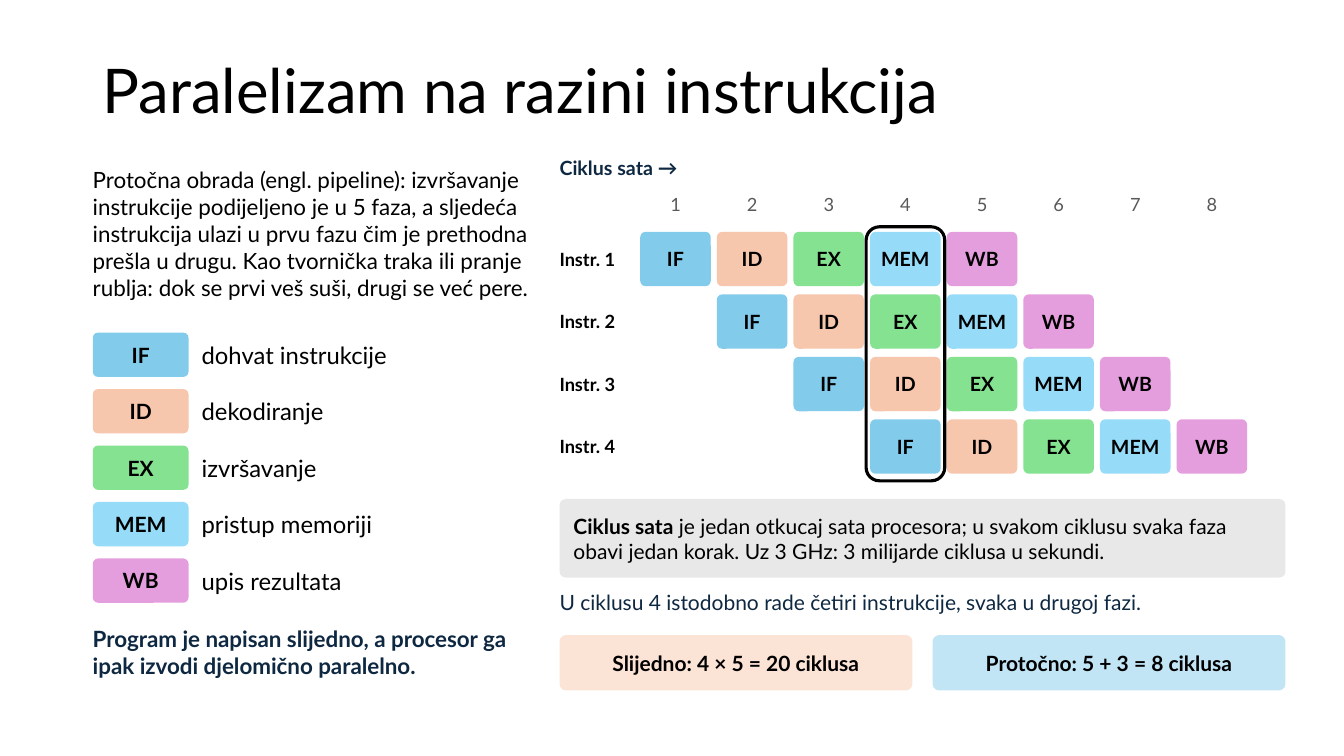
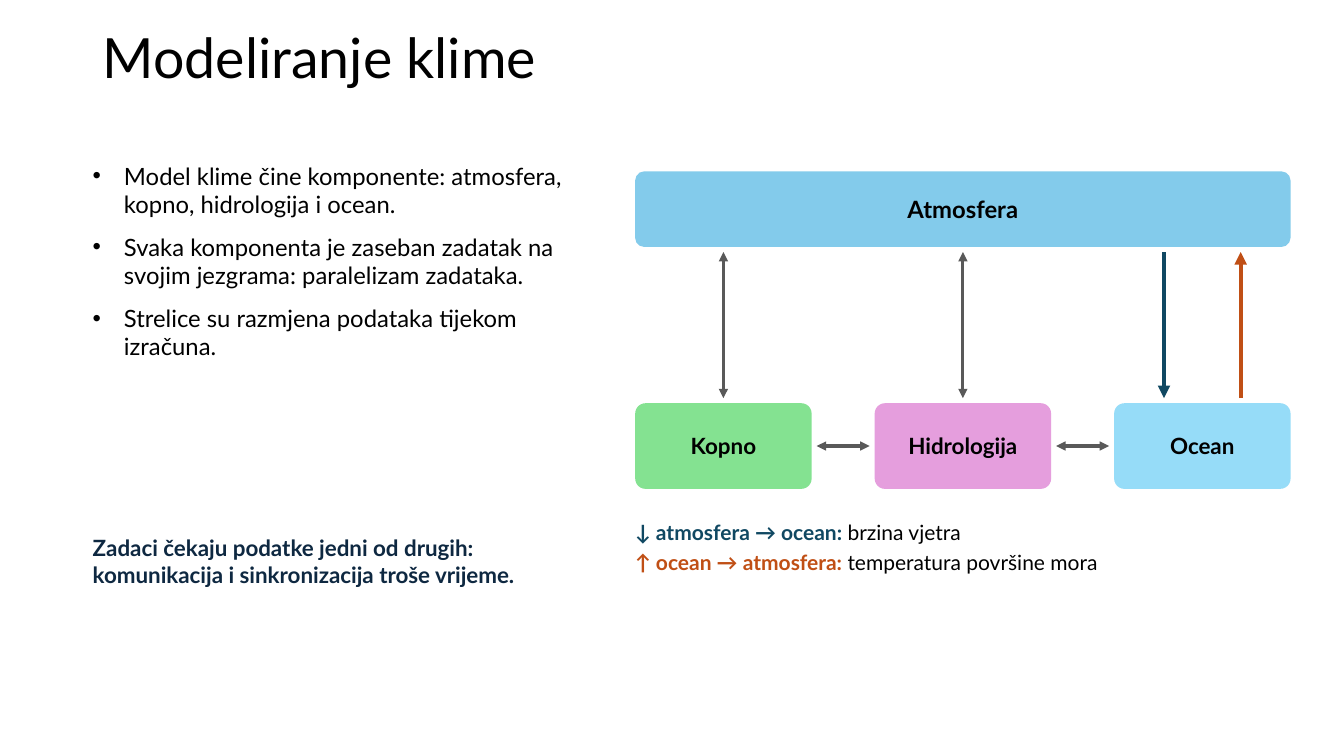
from pptx import Presentation
from pptx.dml.color import RGBColor
from pptx.enum.shapes import MSO_CONNECTOR, MSO_SHAPE
from pptx.enum.text import MSO_ANCHOR, PP_ALIGN
from pptx.oxml.ns import qn
from pptx.util import Inches, Pt
from lxml import etree

ROUND, STRAIGHT = MSO_SHAPE.ROUNDED_RECTANGLE, MSO_CONNECTOR.STRAIGHT
TOP, MIDDLE = MSO_ANCHOR.TOP, MSO_ANCHOR.MIDDLE
LEFT, CENTER = PP_ALIGN.LEFT, PP_ALIGN.CENTER

# Shared style
FONT = "Lato"
BLACK = RGBColor(0x00, 0x00, 0x00)
NAVY = RGBColor(0x0E, 0x28, 0x41)
GRAY = RGBColor(0x59, 0x59, 0x59)
LIGHT_GRAY = RGBColor(0xE8, 0xE8, 0xE8)
BLUE = RGBColor(0x83, 0xCB, 0xEB)
PEACH = RGBColor(0xF6, 0xC6, 0xAD)
GREEN = RGBColor(0x84, 0xE2, 0x91)
SKY = RGBColor(0x96, 0xDC, 0xF8)
PINK = RGBColor(0xE5, 0x9E, 0xDD)
PALE_PEACH = RGBColor(0xFB, 0xE3, 0xD6)
PALE_BLUE = RGBColor(0xC1, 0xE5, 0xF5)
TEAL = RGBColor(0x10, 0x48, 0x62)
RUST = RGBColor(0xC0, 0x4F, 0x15)
MARGIN = 0.92
NO_INSETS = (0, 0, 0, 0)
TIGHT = (0.05, 0.02, 0.05, 0.02)

# Slide 1 content
PIPELINE_TITLE = "Paralelizam na razini instrukcija"
PIPELINE_INTRO = (
    "Protočna obrada (engl. pipeline): izvršavanje instrukcije podijeljeno je u 5 faza, "
    "a sljedeća instrukcija ulazi u prvu fazu čim je prethodna prešla u drugu. "
    "Kao tvornička traka ili pranje rublja: dok se prvi veš suši, drugi se već pere.")
STAGES = [
    ("IF", "dohvat instrukcije", BLUE),
    ("ID", "dekodiranje", PEACH),
    ("EX", "izvršavanje", GREEN),
    ("MEM", "pristup memoriji", SKY),
    ("WB", "upis rezultata", PINK),
]
INSTRUCTIONS = 4
CYCLES = INSTRUCTIONS + len(STAGES) - 1
HIGHLIGHTED_CYCLE = 4
CYCLE_NOTE = [
    ("Ciklus sata", BLACK, True),
    (" je jedan otkucaj sata procesora; u svakom ciklusu svaka faza obavi jedan korak. "
     "Uz 3 GHz: 3 milijarde ciklusa u sekundi.", BLACK, False),
]
OVERLAP_NOTE = "U ciklusu 4 istodobno rade četiri instrukcije, svaka u drugoj fazi."
TOTALS = [
    ("Slijedno: 4 × 5 = 20 ciklusa", PALE_PEACH),
    ("Protočno: 5 + 3 = 8 ciklusa", PALE_BLUE),
]
PIPELINE_SUMMARY = ("Program je napisan slijedno, a procesor ga ipak izvodi "
                    "djelomično paralelno.")

# Slide 2 content
CLIMATE_TITLE = "Modeliranje klime"
CLIMATE_POINTS = [
    "Model klime čine komponente: atmosfera, kopno, hidrologija i ocean.",
    "Svaka komponenta je zaseban zadatak na svojim jezgrama: paralelizam zadataka.",
    "Strelice su razmjena podataka tijekom izračuna.",
]
CLIMATE_SUMMARY = ("Zadaci čekaju podatke jedni od drugih: komunikacija i "
                   "sinkronizacija troše vrijeme.")
COMPONENTS = [("Kopno", GREEN), ("Hidrologija", PINK), ("Ocean", SKY)]
EXCHANGES = [
    [("↓ atmosfera → ocean: ", TEAL, True), ("brzina vjetra", BLACK, False)],
    [("↑ ocean → atmosfera: ", RUST, True), ("temperatura površine mora", BLACK, False)],
]


def write(tf, paragraphs, size, color=BLACK, bold=False, align=LEFT, anchor=TOP,
          insets=NO_INSETS, after=None, bullet=False):
    """Each paragraph is a string or a list of (text, colour, bold) runs."""
    tf.word_wrap = True
    tf.vertical_anchor = anchor
    tf.margin_left, tf.margin_top, tf.margin_right, tf.margin_bottom = map(Inches, insets)
    for i, runs in enumerate(paragraphs):
        p = tf.add_paragraph() if i else tf.paragraphs[0]
        p.alignment = align
        if after is not None:
            p.space_after = Pt(after)
        if bullet:
            add_bullet(p)
        if isinstance(runs, str):
            runs = [(runs, color, bold)]
        for text, run_color, run_bold in runs:
            r = p.add_run()
            r.text = text
            r.font.name, r.font.size, r.font.bold = FONT, Pt(size), run_bold
            r.font.color.rgb = run_color


def add_bullet(p):
    pPr = p._p.get_or_add_pPr()
    pPr.set("marL", str(Inches(0.31)))
    pPr.set("indent", str(-Inches(0.31)))
    etree.SubElement(pPr, qn("a:buFont")).set("typeface", "Arial")
    etree.SubElement(pPr, qn("a:buChar")).set("char", "•")


def add_text(s, x, y, w, h, paragraphs, size, **style):
    if isinstance(paragraphs, str):
        paragraphs = [paragraphs]
    tf = s.shapes.add_textbox(Inches(x), Inches(y), Inches(w), Inches(h)).text_frame
    write(tf, paragraphs, size, **style)
    return tf


def add_rounded(s, x, y, w, h, radius):
    sp = s.shapes.add_shape(ROUND, Inches(x), Inches(y), Inches(w), Inches(h))
    sp.shadow.inherit = False
    sp.adjustments[0] = radius
    return sp


def add_box(s, x, y, w, h, text, fill, size, radius=0.12):
    sp = add_panel(s, x, y, w, h, fill, radius)
    write(sp.text_frame, [text], size, bold=True, align=CENTER, anchor=MIDDLE, insets=TIGHT)


def add_panel(s, x, y, w, h, fill, radius):
    sp = add_rounded(s, x, y, w, h, radius)
    sp.fill.solid()
    sp.fill.fore_color.rgb = fill
    sp.line.fill.background()
    return sp


def add_arrow(s, x1, y1, x2, y2, color=GRAY, width=2.25, both=True):
    line = s.shapes.add_connector(STRAIGHT, Inches(x1), Inches(y1), Inches(x2), Inches(y2))
    line.line.color.rgb = color
    line.line.width = Pt(width)
    ln = line.line._get_or_add_ln()
    for end in ("a:headEnd", "a:tailEnd") if both else ("a:tailEnd",):
        etree.SubElement(ln, qn(end)).set("type", "triangle")
    etree.SubElement(line._element.spPr, qn("a:effectLst"))


def new_slide(prs, title, size, y):
    s = prs.slides.add_slide(prs.slide_layouts[6])
    tf = add_text(s, MARGIN, y, 11.5, 1.06, title, size, anchor=MIDDLE,
                  insets=(0.1, 0.05, 0.1, 0.05))
    tf.paragraphs[0].line_spacing = 0.9
    return s


def build_pipeline(prs):
    s = new_slide(prs, PIPELINE_TITLE, 44, 0.4)
    add_text(s, MARGIN, 1.65, 4.5, 1.5, PIPELINE_INTRO, 16)

    # Legend of stages
    for i, (code, meaning, fill) in enumerate(STAGES):
        y = 3.3 + 0.56 * i
        add_box(s, MARGIN, y, 0.95, 0.44, code, fill, 15)
        add_text(s, 2, y, 3.3, 0.44, meaning, 17, anchor=MIDDLE)
    add_text(s, MARGIN, 6.2, 4.5, 0.8, PIPELINE_SUMMARY, 16, color=NAVY, bold=True)

    # Pipeline grid: each instruction starts one cycle later
    x0, grid_x, grid_y = 5.55, 6.35, 2.3
    cell_w, cell_h, step_x, step_y = 0.7, 0.54, 0.76, 0.62
    add_text(s, x0, 1.55, 7.3, 0.35, "Ciklus sata →", 14, color=NAVY, bold=True)
    for cycle in range(CYCLES):
        add_text(s, grid_x + step_x * cycle, 1.92, cell_w, 0.3, str(cycle + 1), 13,
                 color=GRAY, align=CENTER)
    for row in range(INSTRUCTIONS):
        y = grid_y + step_y * row
        add_text(s, x0, y, cell_w, cell_h, f"Instr. {row + 1}", 13, bold=True, anchor=MIDDLE)
        for col, (code, _, fill) in enumerate(STAGES, row):
            add_box(s, grid_x + step_x * col, y, cell_w, cell_h, code, fill, 14, radius=0.1)

    # Frame around the highlighted cycle
    frame = add_rounded(s, grid_x + step_x * (HIGHLIGHTED_CYCLE - 1) - 0.04, grid_y - 0.05,
                        0.78, 2.52, 0.17)
    frame.fill.background()
    frame.line.color.rgb = BLACK
    frame.line.width = Pt(2.25)

    # Notes and totals
    note = add_panel(s, x0, 4.95, 7.2, 0.78, LIGHT_GRAY, 0.08)
    write(note.text_frame, [CYCLE_NOTE], 15, anchor=MIDDLE, insets=(0.12, 0.05, 0.12, 0.05))
    add_text(s, x0, 5.85, 7.3, 0.35, OVERLAP_NOTE, 15, color=NAVY)
    for i, (text, fill) in enumerate(TOTALS):
        add_box(s, x0 + 3.7 * i, 6.3, 3.5, 0.55, text, fill, 15)


def build_climate(prs):
    s = new_slide(prs, CLIMATE_TITLE, 39.6, 0.07)
    add_text(s, MARGIN, 1.6, 5, 3.9, CLIMATE_POINTS, 17, after=10, bullet=True)
    add_text(s, MARGIN, 5.3, 5, 1.5, CLIMATE_SUMMARY, 16, color=NAVY, bold=True)

    # Components: atmosphere spans the row below it
    x0, width, box_w, box_h = 6.3, 6.5, 1.75, 0.85
    air_y, air_h, row_y, clear = 1.7, 0.75, 4, 0.05
    step = (width - box_w) / (len(COMPONENTS) - 1)
    add_box(s, x0, air_y, width, air_h, "Atmosfera", BLUE, 17)
    for i, (name, fill) in enumerate(COMPONENTS):
        add_box(s, x0 + step * i, row_y, box_w, box_h, name, fill, 16)

    # Vertical exchanges; the ocean has one arrow each way
    upper, lower = air_y + air_h + clear, row_y - clear
    centers = [x0 + step * i + box_w / 2 for i in range(len(COMPONENTS))]
    for x in centers[:-1]:
        add_arrow(s, x, upper, x, lower)
    down_x, up_x = centers[-1] - 0.38, centers[-1] + 0.38
    add_arrow(s, down_x, upper, down_x, lower, TEAL, 3, both=False)
    add_arrow(s, up_x, lower, up_x, upper, RUST, 3, both=False)

    # Exchanges between neighbours
    mid_y = row_y + box_h / 2
    for a, b in zip(centers, centers[1:]):
        add_arrow(s, a + box_w / 2 + clear, mid_y, b - box_w / 2 - clear, mid_y)
    add_text(s, x0, 5.15, width, 1, EXCHANGES, 15, after=4)


def main():
    prs = Presentation()
    prs.slide_width, prs.slide_height = Inches(13.33), Inches(7.5)
    build_pipeline(prs)
    build_climate(prs)
    prs.save("out.pptx")


if __name__ == "__main__":
    main()
